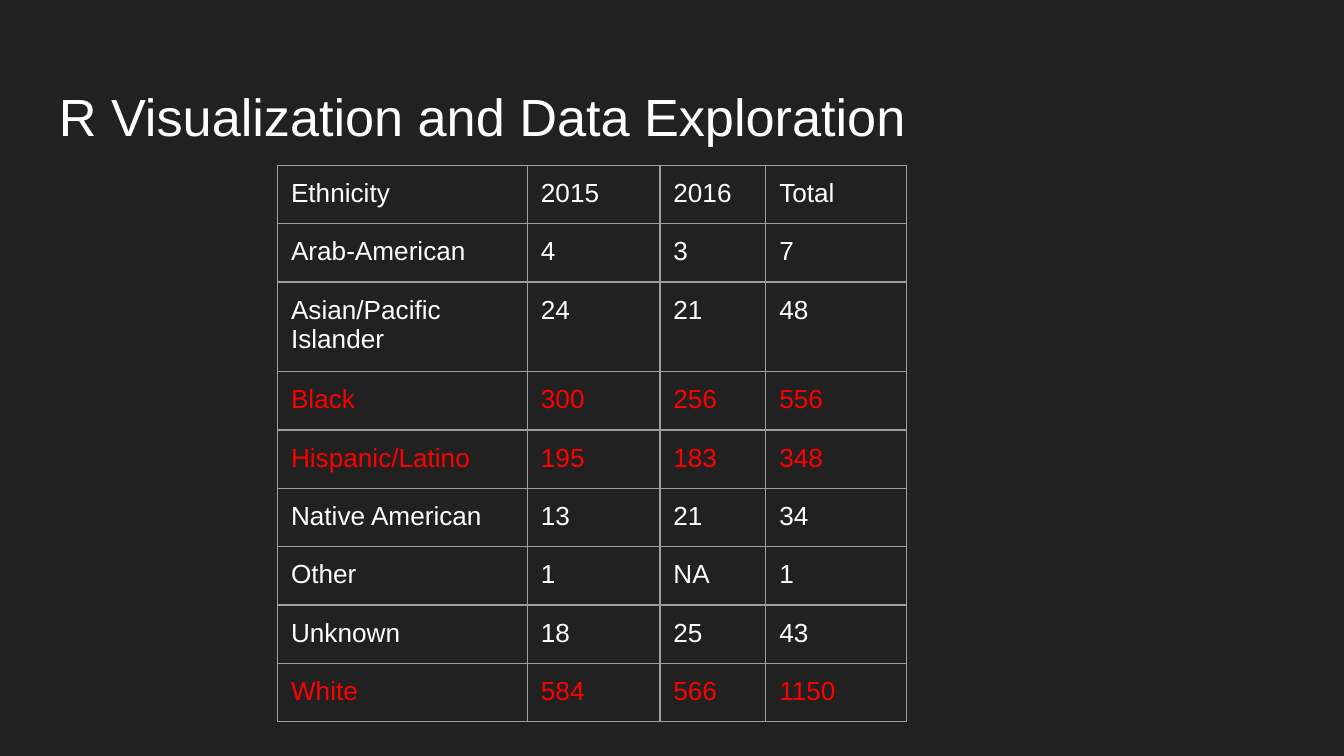
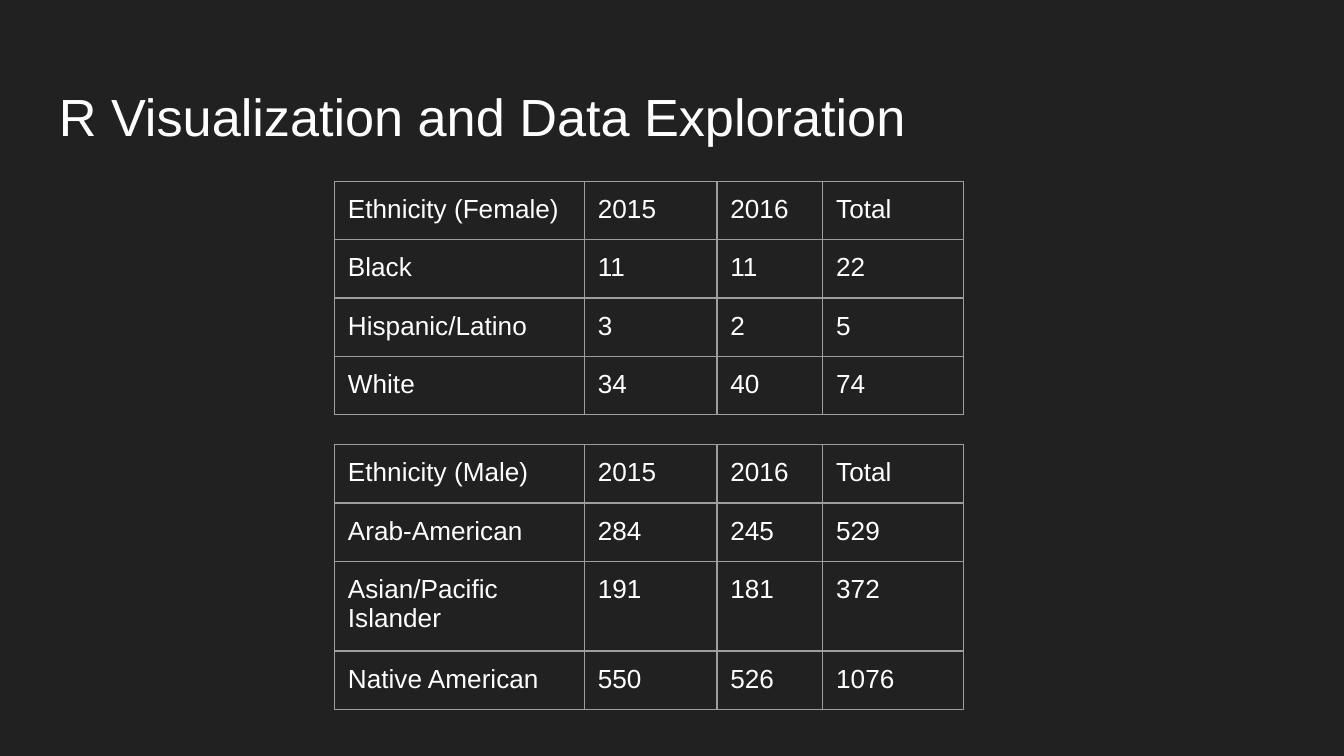
from pptx import Presentation
from pptx.dml.color import RGBColor
from pptx.enum.text import MSO_ANCHOR
from pptx.util import Pt
from lxml.etree import SubElement
from pptx.oxml.ns import qn

DARK = RGBColor(0x21, 0x21, 0x21)
WHITE = RGBColor(0xFF, 0xFF, 0xFF)
RED = RGBColor(0xFF, 0x00, 0x00)
GRAY = RGBColor(0x9E, 0x9E, 0x9E)

FACE = "Arial"
TITLE = "R Visualization and Data Exploration"
YEARS = ("2015", "2016", "Total")
COLS = (133.9, 71, 56.7, 75.4)
ROW = 29.5
PAD = 7.2
EDGE = 0.75

ALL = [
    ("Ethnicity", *YEARS),
    ("Arab-American", "4", "3", "7"),
    ("Asian/Pacific Islander", "24", "21", "48"),
    ("Black", "300", "256", "556"),
    ("Hispanic/Latino", "195", "183", "348"),
    ("Native American", "13", "21", "34"),
    ("Other", "1", "NA", "1"),
    ("Unknown", "18", "25", "43"),
    ("White", "584", "566", "1150"),
]
FEMALE = [
    ("Ethnicity (Female)", *YEARS),
    ("Black", "11", "11", "22"),
    ("Hispanic/Latino", "3", "2", "5"),
    ("White", "34", "40", "74"),
]
MALE = [
    ("Ethnicity (Male)", *YEARS),
    ("Arab-American", "284", "245", "529"),
    ("Asian/Pacific Islander", "191", "181", "372"),
    ("Native American", "550", "526", "1076"),
]
HOT = ("Black", "Hispanic/Latino", "White")


def apply(item, vals):
    """Set each named attribute of an object."""
    for key, val in vals.items():
        setattr(item, key, val)


def write(frame, text, size, color):
    """Write one styled run into a text frame."""
    run = frame.paragraphs[0].add_run()
    run.text = text
    apply(run.font, {"name": FACE, "size": Pt(size)})
    run.font.color.rgb = color


def pads(top=PAD):
    """Return the margins of a frame or cell."""
    vals = {f"margin_{side}": Pt(PAD) for side in ("left", "right", "bottom")}
    return {**vals, "margin_top": Pt(top)}


def border(cell):
    """Draw a thin gray line on all four sides of a cell."""
    props = cell._tc.get_or_add_tcPr()
    for spot, side in enumerate(("lnL", "lnR", "lnT", "lnB")):
        line = SubElement(props, qn(f"a:{side}"), w=str(int(Pt(EDGE))))
        fill = SubElement(line, qn("a:solidFill"))
        SubElement(fill, qn("a:srgbClr"), val=str(GRAY))
        props.insert(spot, line)


def grid(slide, left, top, rows, hot=()):
    """Place a table, with the rows named in hot written in red."""
    box = Pt(left), Pt(top), Pt(sum(COLS)), Pt(ROW * len(rows))
    table = slide.shapes.add_table(len(rows), len(COLS), *box).table
    apply(table, {"first_row": False, "horz_banding": False})
    for col, width in zip(table.columns, COLS):
        col.width = Pt(width)
    for row, texts in zip(table.rows, rows):
        row.height = Pt(ROW)
        color = RED if texts[0] in hot else WHITE
        for cell, text in zip(row.cells, texts):
            apply(cell, {**pads(), "vertical_anchor": MSO_ANCHOR.TOP})
            cell.fill.background()
            border(cell)
            write(cell.text_frame, text, 14, color)


def head(slide, left, top, width, height):
    """Place the slide title."""
    box = slide.shapes.add_textbox(Pt(left), Pt(top), Pt(width), Pt(height))
    frame = box.text_frame
    apply(frame, {**pads(9.6), "word_wrap": True,
                  "vertical_anchor": MSO_ANCHOR.TOP})
    write(frame, TITLE, 28, WHITE)


def page(deck):
    """Add a dark slide with its title."""
    slide = deck.slides.add_slide(deck.slide_layouts[6])
    fill = slide.background.fill
    fill.solid()
    fill.fore_color.rgb = DARK
    head(slide, 24.5, 35.3, 671, 45.4)
    return slide


def main():
    """Build and save the deck."""
    deck = Presentation()
    apply(deck, {"slide_width": Pt(720), "slide_height": Pt(405)})
    grid(page(deck), 148.7, 88.6, ALL, HOT)
    slide = page(deck)
    for top, rows in ((97.2, FEMALE), (238.2, MALE)):
        grid(slide, 179.2, top, rows)
    deck.save("out.pptx")


main()
